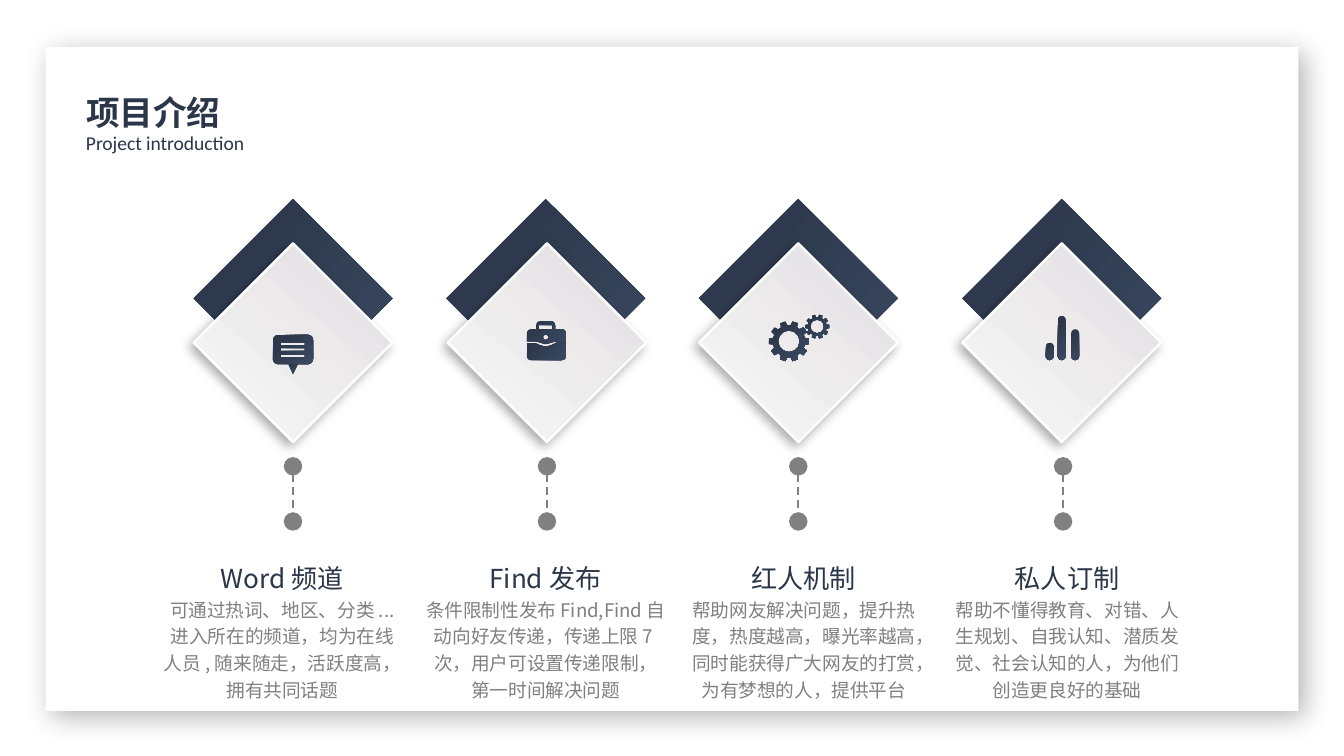
from math import cos, radians, sin

from lxml.etree import SubElement
from pptx import Presentation
from pptx.dml.color import RGBColor
from pptx.enum.dml import MSO_LINE
from pptx.enum.shapes import MSO_CONNECTOR, MSO_SHAPE
from pptx.enum.text import MSO_ANCHOR, MSO_AUTO_SIZE, PP_ALIGN
from pptx.oxml.ns import qn
from pptx.util import Pt

PX = 9144  # 100 px to the inch
C = {"white": "FFFFFF", "navy": "2B3649", "slate": "3B4A62", "gray": "808080",
     "mauve": "E2DDE1", "pale": "F2F2F2", "black": "000000"}
CJK = "Noto Sans CJK SC"
DARK = [("navy", 0.11), ("slate", 1)]
LIGHT = [("mauve", 0), ("pale", 0.76)]


def write(tf, text, size=10, color="gray", font=CJK, bold=False,
          align=PP_ALIGN.LEFT, spacing=1.2, first=False):
    p = tf.paragraphs[0] if first else tf.add_paragraph()
    p.alignment, p.line_spacing = align, spacing
    p.space_before = Pt(0)
    r = p.add_run()
    r.text = text
    r.font.size, r.font.bold, r.font.name = Pt(size), bold, font
    r.font.color.rgb = RGBColor.from_string(C[color])
    SubElement(r._r.get_or_add_rPr(), qn("a:ea"), typeface=font)


def draw(shapes, contours, stops=DARK, angle=45):
    """Fill closed contours made of (x, y) points and (cx, cy, r, from, to) arcs."""
    fb = None
    for contour in contours:
        pts = []
        for item in contour:
            if len(item) == 2:
                pts.append(item)
            else:
                cx, cy, rad, a, b = item
                steps = max(1, (b - a) // 30)
                turns = [radians(a + (b - a) * i / steps) for i in range(steps + 1)]
                pts += [(cx + rad * cos(t), cy + rad * sin(t)) for t in turns]
        pts = [(x * PX, y * PX) for x, y in pts]
        if fb is None:
            fb = shapes.build_freeform(*pts[0], scale=1.0)
        else:
            fb.move_to(*pts[0])
        fb.add_line_segments(pts[1:], close=True)
    sp = fb.convert_to_shape()
    sp.shadow.inherit = False
    sp.line.fill.background()
    sp.fill.gradient()
    sp.fill.gradient_angle = 360 - angle
    for stop, (color, pos) in zip(sp.fill.gradient_stops, stops):
        stop.color.rgb = RGBColor.from_string(C[color])
        stop.position = pos
    return sp


prs = Presentation()
prs.slide_width = 1000 * PX
prs.slide_height = prs.slide_width * 9 // 16
s = prs.slides.add_slide(prs.slide_layouts[5])
title = s.shapes.title

# Card behind everything
card = s.shapes.add_shape(MSO_SHAPE.RECTANGLE, 34 * PX, 35 * PX, 932 * PX, 494 * PX)
card.shadow.inherit = False
card.fill.solid()
card.fill.fore_color.rgb = RGBColor.from_string(C["white"])
card.line.fill.background()
title._element.addprevious(card._element)
shadows = [(card, 30, 15, 5, 45)]

# Title and subtitle
title.left, title.top, title.width, title.height = 64 * PX, 61 * PX, 101 * PX, 39 * PX
subtitle = s.shapes.add_textbox(64 * PX, 91 * PX, 163 * PX, 29 * PX)
for sp in (title, subtitle):
    tf = sp.text_frame
    tf.margin_left = tf.margin_right = tf.margin_top = 0
    tf.margin_bottom = 5 * PX
    tf.vertical_anchor = MSO_ANCHOR.TOP
    tf.auto_size = MSO_AUTO_SIZE.SHAPE_TO_FIT_TEXT
    tf.word_wrap = sp is subtitle
write(title.text_frame, "项目介绍", size=18, color="navy", bold=True,
      spacing=Pt(27), first=True)
write(subtitle.text_frame, "Project introduction", size=10.5, color="navy",
      font="Calibri", spacing=Pt(17.2), first=True)

# Icons: each is a list of shapes, each shape a list of contours
bubble = [
    [[(218, 278), (214, 270), (222, 270)]],
    [[(207, 253, 4, 180, 270), (229, 253, 4, 270, 360),
      (229, 267, 4, 0, 90), (207, 267, 4, 90, 180)]]
    + [[(209, y), (209, y + 2), (227, y + 2), (227, y)] for y in (255, 259, 264)],
]
briefcase = [
    [[(392, 255), (398, 255), (402, 257), (406, 258), (410, 257), (414, 255),
      (421, 255), (418, 265, 3, 0, 90), (395, 265, 3, 90, 180)]],
    [[(395, 248, 3, 180, 270), (399, 245), (402, 242, 3, 180, 270),
      (410, 242, 3, 270, 360), (413, 245), (418, 248, 3, 270, 360), (421, 254),
      (413, 254), (410, 255), (406, 256), (402, 255), (399, 254), (392, 254)],
     [(401, 245), (401, 242), (411, 242), (411, 245)],
     [(406, 251, 2, 0, 360)]],
]
gears = []
for cx, cy, tip, root, hole in [(587, 254, 15, 12, 8), (608, 243, 9, 7, 5)]:
    teeth = []
    for a in range(0, 360, 36):
        teeth += [(cx, cy, tip, a - 8, a + 8), (cx, cy, root, a + 12, a + 24)]
    gears.append([teeth, [(cx, cy, hole, 0, 360)]])
bars = [[[(x, top + 3, 3, 180, 360), (x, 265, 3, 0, 180)]]
        for x, top in [(790, 235), (781, 255), (800, 245)]]

# Columns: dark centre, light centre, line x, text left, icon, heading, lines
columns = [
    (218, 218, 218, 111, bubble, "Word频道",
     ["可通过热词、地区、分类...", "进入所在的频道，均为在线人员,随来随走，活跃度高，拥有共同话题"]),
    (406, 407, 407, 307, briefcase, "Find发布",
     ["条件限制性发布Find,Find自动向好友传递，传递上限7次，用户可设置传递限制，第一时间解决问题"]),
    (594, 594, 594, 499, gears, "红人机制",
     ["帮助网友解决问题，提升热度，热度越高，曝光率越高，同时能获得广大网友的打赏，",
      "为有梦想的人，提供平台"]),
    (790, 790, 791, 695, bars, "私人订制",
     ["帮助不懂得教育、对错、人生规划、自我认知、潜质发觉、社会认知的人，为他们创造更良好的基础"]),
]
for dark_x, light_x, line_x, text_x, icon, heading, lines in columns:
    # Diamonds
    for x, y, stops, angle in [(dark_x, 222, DARK, 45), (light_x, 255, LIGHT, 130)]:
        diamond = draw(s.shapes, [[(x, y + 74), (x - 74, y), (x, y - 74), (x + 74, y)]],
                       stops, angle)
    diamond.line.color.rgb = RGBColor.from_string(C["white"])
    diamond.line.width = Pt(1.25)
    shadows.append((diamond, 32, 6, 3, 135))

    # Icon
    group = s.shapes.add_group_shape()
    for contours in icon:
        draw(group.shapes, contours)

    # Dashed line with round ends
    line = s.shapes.add_connector(MSO_CONNECTOR.STRAIGHT, line_x * PX, 347 * PX,
                                  line_x * PX, 388 * PX)
    line.line.color.rgb = RGBColor.from_string(C["gray"])
    line.line.width = Pt(1)
    line.line.dash_style = MSO_LINE.DASH
    for end in ("a:headEnd", "a:tailEnd"):
        SubElement(line.line._get_or_add_ln(), qn(end), type="oval", w="lg", len="lg")
    SubElement(line._element.spPr, qn("a:effectLst"))

    # Heading and description
    tf = s.shapes.add_textbox(text_x * PX, 409 * PX, 198 * PX, 119 * PX).text_frame
    tf.word_wrap = True
    tf.auto_size = MSO_AUTO_SIZE.SHAPE_TO_FIT_TEXT
    write(tf, heading, size=14, color="navy", align=PP_ALIGN.CENTER, first=True)
    for text in lines:
        write(tf, text, align=PP_ALIGN.CENTER)

# Shadows: opacity %, blur pt, distance pt, direction
for sp, alpha, blur, dist, direction in shadows:
    effects = sp._element.spPr.find(qn("a:effectLst"))
    shadow = SubElement(effects, qn("a:outerShdw"), blurRad=str(Pt(blur)),
                        dist=str(Pt(dist)), dir=str(direction * 60000),
                        algn="ctr", rotWithShape="0")
    color = SubElement(shadow, qn("a:srgbClr"), val=C["black"])
    SubElement(color, qn("a:alpha"), val=str(alpha * 1000))

prs.save("out.pptx")
